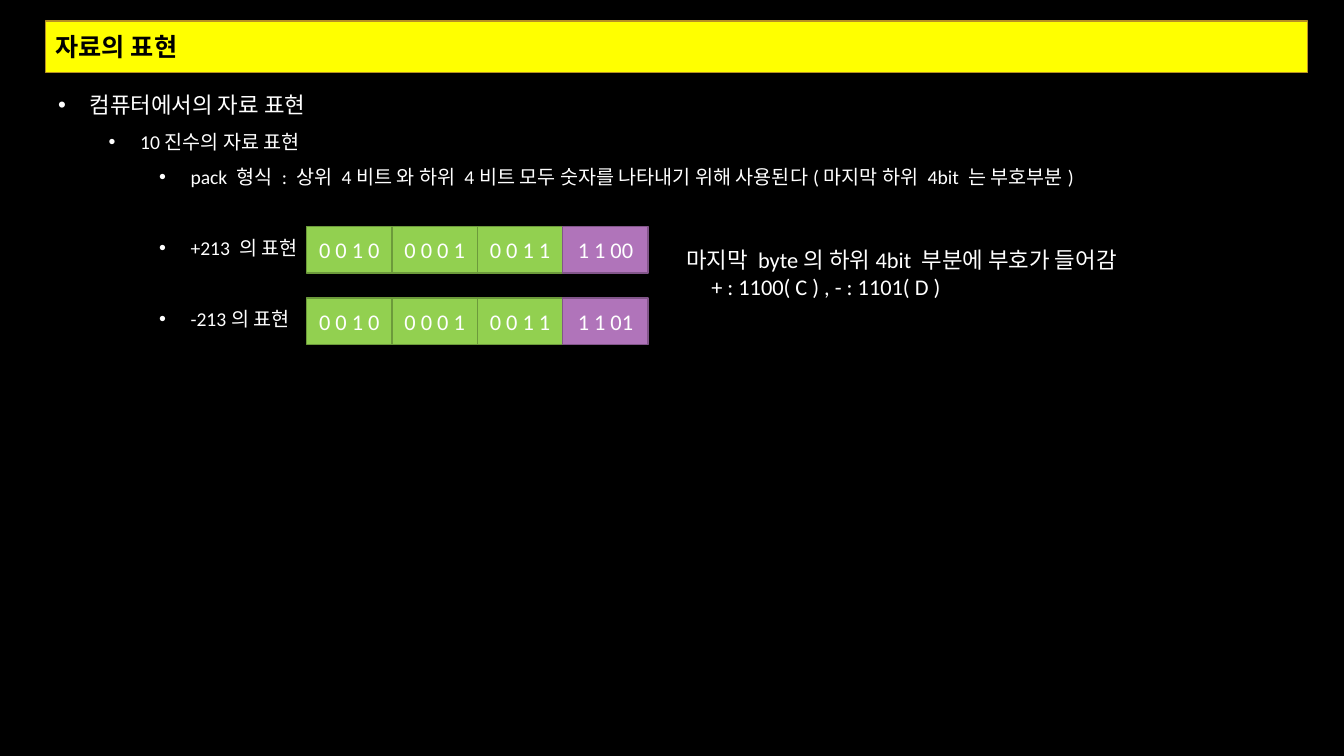
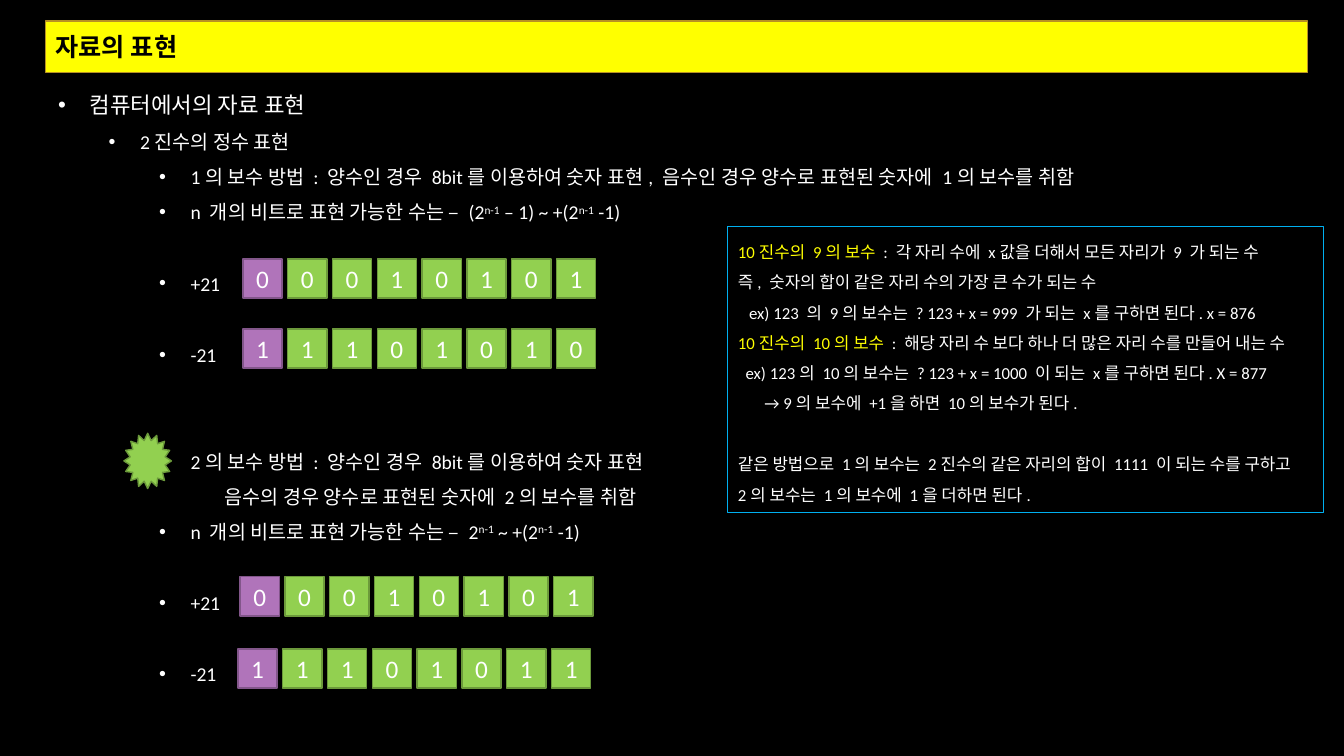
from lxml.etree import SubElement
from pptx import Presentation
from pptx.dml.color import RGBColor
from pptx.enum.shapes import MSO_SHAPE
from pptx.enum.text import MSO_ANCHOR, MSO_AUTO_SIZE, PP_ALIGN
from pptx.oxml.ns import qn
from pptx.util import Emu, Pt

PX = 6350
FONT = "Calibri"
BLACK = RGBColor(0x00, 0x00, 0x00)
WHITE = RGBColor(0xFF, 0xFF, 0xFF)
YELLOW = RGBColor(0xFF, 0xFF, 0x00)
GOLD = RGBColor(0xB7, 0x90, 0x24)
GREEN = RGBColor(0x92, 0xD0, 0x50)
DARK_GREEN = RGBColor(0x6C, 0x9A, 0x3B)
PURPLE = RGBColor(0xB0, 0x74, 0xBA)
DARK_PURPLE = RGBColor(0x82, 0x56, 0x8A)
BLUE = RGBColor(0x00, 0xB0, 0xF0)

TITLE = "자료의 표현"
TOPIC = "컴퓨터에서의 자료 표현"
HANG, LEVEL_STEP = 45, 72
BODY_GAP, BOX_GAP = 25.6, 22
BIT = dict(w=56, h=56, pitch=64, size=18, sign=0)
NIBBLE = dict(w=122, h=66, pitch=122, size=16, sign=3)

PACKED_BODY = [
    dict(text=TOPIC, level=0, size=16),
    dict(text="10진수의 자료 표현", level=1),
    dict(text="pack 형식 : 상위 4비트 와 하위 4비트 모두 숫자를 나타내기 위해 사용된다"
              "(마지막 하위 4bit 는 부호부분)", level=2),
    dict(text="+213 의 표현", level=2, before=BODY_GAP),
    dict(text="-213의 표현", level=2, before=BODY_GAP),
]
PACKED_ROWS = [
    (438, 324, ["0 0 1 0", "0 0 0 1", "0 0 1 1", "1 1 00"]),
    (438, 426, ["0 0 1 0", "0 0 0 1", "0 0 1 1", "1 1 01"]),
]
SIGN_NOTE = [
    dict(text="마지막 byte의 하위4bit 부분에 부호가 들어감"),
    dict(text="+ : 1100( C ) , - : 1101( D )", margin=36),
]

BINARY_BODY = [
    dict(text=TOPIC, level=0, size=16),
    dict(text="2진수의 정수 표현", level=1),
    dict(text="1의 보수 방법 : 양수인 경우 8bit를 이용하여 숫자 표현, "
              "음수인 경우 양수로 표현된 숫자에 1의 보수를 취함", level=2),
    dict(text="n 개의 비트로 표현 가능한 수는 – (2^n-1^ – 1) ~ +(2^n-1^ -1)", level=2),
    dict(text="+21", level=2, before=BODY_GAP),
    dict(text="-21", level=2, before=BODY_GAP),
    dict(text="2의 보수 방법 : 양수인 경우 8bit를 이용하여 숫자 표현", level=2,
         before=2 * BODY_GAP),
    dict(text="음수의 경우 양수로 표현된 숫자에 2의 보수를 취함", margin=238),
    dict(text="n 개의 비트로 표현 가능한 수는 – 2^n-1^ ~ +(2^n-1^ -1)", level=2),
    dict(text="+21", level=2, before=BODY_GAP),
    dict(text="-21", level=2, before=BODY_GAP),
]
BINARY_ROWS = [
    (347, 370, "00010101"),
    (347, 470, "11101010"),
    (343, 824, "00010101"),
    (340, 927, "11101011"),
]
COMPLEMENT_BOX = [
    dict(term="10진수의 9의 보수 ",
         text=": 각 자리 수에 x값을 더해서 모든 자리가 9 가 되는 수"),
    dict(text="즉, 숫자의 합이 같은 자리 수의 가장 큰 수가 되는 수"),
    dict(text="ex) 123 의 9의 보수는 ? 123 + x = 999 가 되는 x를 구하면 된다. x = 876",
         margin=16),
    dict(term="10진수의 10의 보수 ",
         text=": 해당 자리 수 보다 하나 더 많은 자리 수를 만들어 내는 수"),
    dict(text="ex) 123의 10의 보수는 ? 123 + x = 1000 이 되는 x를 구하면 된다. X = 877",
         margin=11),
    dict(text="→ 9의 보수에 +1을 하면 10의 보수가 된다.", margin=38),
    dict(text="같은 방법으로 1의 보수는 2진수의 같은 자리의 합이 1111 이 되는 수를 구하고",
         before=BOX_GAP),
    dict(text="2의 보수는 1의 보수에 1을 더하면 된다."),
]


def px(*values):
    return [Emu(v * PX) for v in values]


def set_all(obj, **values):
    for name, value in values.items():
        setattr(obj, name, value)


def paint(sp, fill, line, width=1):
    if fill is not None:
        sp.fill.solid()
        sp.fill.fore_color.rgb = fill
    sp.line.color.rgb = line
    sp.line.width = Pt(width)


def add_run(p, text, size, color, bold=False, baseline=None):
    r = p.add_run()
    r.text = text
    set_all(r.font, name=FONT, size=Pt(size), bold=bold)
    r.font.color.rgb = color
    if baseline:
        r._r.get_or_add_rPr().set("baseline", baseline)


def set_indent(p, margin, level):
    pPr = p._p.get_or_add_pPr()
    if level is None:
        pPr.set("marL", str(margin * PX))
        pPr.set("indent", "0")
        return
    p.level = level
    pPr.set("marL", str((HANG + level * LEVEL_STEP) * PX))
    pPr.set("indent", str(-HANG * PX))
    SubElement(pPr, qn("a:buFont")).set("typeface", "Arial")
    SubElement(pPr, qn("a:buChar")).set("char", "•")


def write(tf, lines, size, spacing=None):
    for i, line in enumerate(lines):
        p = tf.add_paragraph() if i else tf.paragraphs[0]
        set_all(p, alignment=PP_ALIGN.LEFT, line_spacing=spacing,
                space_before=Pt(line.get("before", 0)))
        set_indent(p, line.get("margin", 0), line.get("level"))
        line_size = line.get("size", size)
        if "term" in line:
            add_run(p, line["term"], line_size, YELLOW)
        for j, part in enumerate(line["text"].split("^")):
            add_run(p, part, line_size, WHITE, baseline="30000" if j % 2 else None)


def add_box(shapes, kind, x, y, w, h, fill, line):
    sp = shapes.add_shape(kind, *px(x, y, w, h))
    sp.shadow.inherit = False
    paint(sp, fill, line)
    return sp


def add_text(s, x, y, w, h, lines, size, spacing=None):
    sp = s.shapes.add_textbox(*px(x, y, w, h))
    set_all(sp.text_frame, word_wrap=True, auto_size=MSO_AUTO_SIZE.SHAPE_TO_FIT_TEXT)
    write(sp.text_frame, lines, size, spacing)
    return sp


def add_cells(s, x, y, texts, w, h, pitch, size, sign):
    group = s.shapes.add_group_shape()
    for i, text in enumerate(texts):
        colors = (PURPLE, DARK_PURPLE) if i == sign else (GREEN, DARK_GREEN)
        sp = add_box(group.shapes, MSO_SHAPE.RECTANGLE, x + i * pitch, y, w, h, *colors)
        tf = sp.text_frame
        set_all(tf, word_wrap=True, vertical_anchor=MSO_ANCHOR.MIDDLE)
        p = tf.paragraphs[0]
        p.alignment = PP_ALIGN.CENTER
        add_run(p, text, size, WHITE)


def format_title(s):
    title = s.shapes.title
    left, top, width, height = px(65, 30, 1803, 74)
    set_all(title, left=left, top=top, width=width, height=height)
    geometry = SubElement(title.element.spPr, qn("a:prstGeom"))
    geometry.set("prst", "roundRect")
    SubElement(geometry, qn("a:avLst"))
    paint(title, YELLOW, GOLD)
    tf = title.text_frame
    set_all(tf, word_wrap=True, auto_size=MSO_AUTO_SIZE.NONE,
            vertical_anchor=MSO_ANCHOR.MIDDLE)
    p = tf.paragraphs[0]
    p.alignment = PP_ALIGN.LEFT
    add_run(p, TITLE, 18, BLACK, bold=True)
    s.shapes.element.append(title.element)


def add_slide(prs, body):
    s = prs.slides.add_slide(prs.slide_layouts[5])
    sp = add_box(s.shapes, MSO_SHAPE.RECTANGLE, 69, 104, 1797, 930, BLACK, BLACK)
    set_all(sp.text_frame, word_wrap=True, vertical_anchor=MSO_ANCHOR.TOP)
    write(sp.text_frame, body, 14, 1.5)
    format_title(s)
    return s


def build_packed(prs):
    s = add_slide(prs, PACKED_BODY)
    for x, y, nibbles in PACKED_ROWS:
        add_cells(s, x, y, nibbles, **NIBBLE)
    add_text(s, 966, 344, 675, 92, SIGN_NOTE, 16)


def build_binary(prs):
    s = add_slide(prs, BINARY_BODY)
    for x, y, bits in BINARY_ROWS:
        add_cells(s, x, y, bits, **BIT)
    box = add_text(s, 1040, 324, 851, 408, COMPLEMENT_BOX, 12, 1.5)
    paint(box, None, BLUE, 0.75)
    add_box(s.shapes, MSO_SHAPE.STAR_16_POINT, 177, 619, 68, 79, GREEN, DARK_GREEN)


def main():
    prs = Presentation()
    prs.slide_width, prs.slide_height = px(1920, 1080)
    background = prs.slide_master.background.fill
    background.solid()
    background.fore_color.rgb = BLACK
    build_packed(prs)
    build_binary(prs)
    prs.save("out.pptx")


if __name__ == "__main__":
    main()
